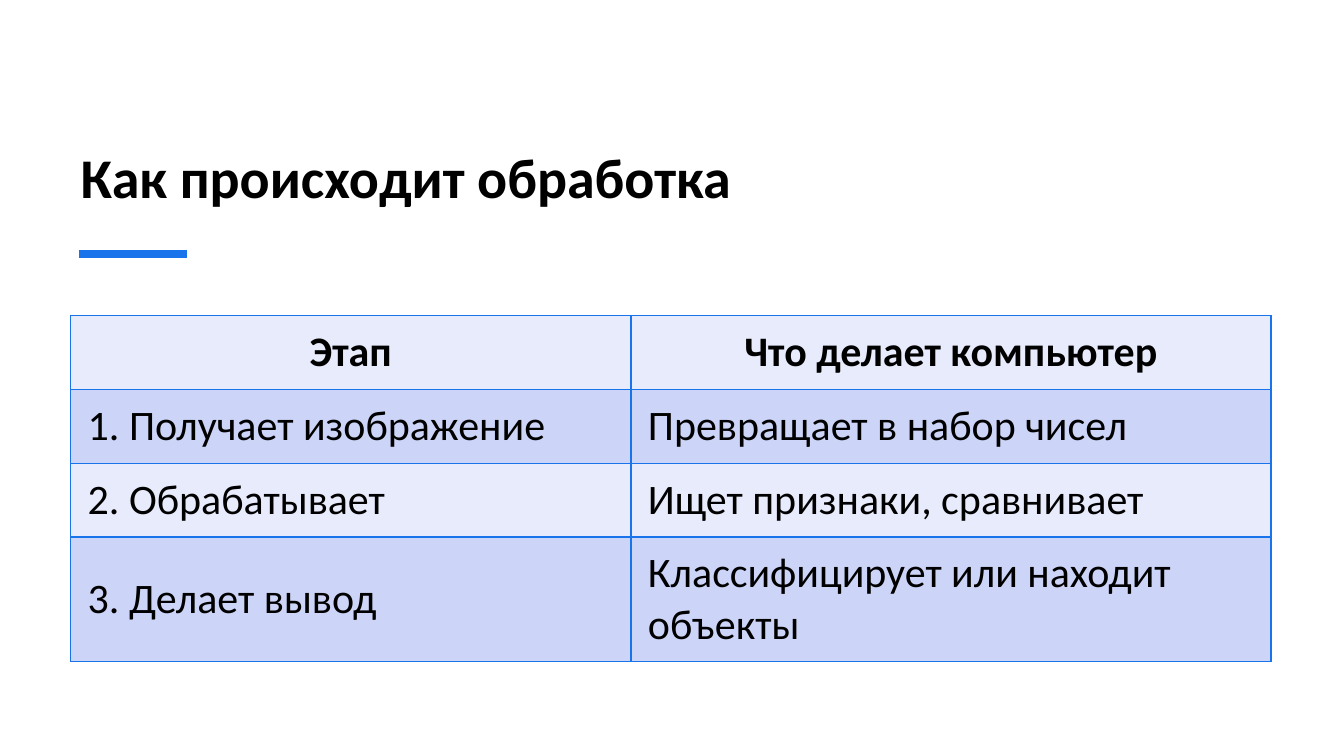
import pptx
import pptx.dml.color
import pptx.enum.shapes
import pptx.enum.text
import pptx.oxml
import pptx.oxml.ns
import pptx.util
from pptx.util import Cm

TITLE = "Как происходит обработка"
ROWS = [
    ("Этап", "Что делает компьютер"),
    ("1. Получает изображение", "Превращает в набор чисел"),
    ("2. Обрабатывает", "Ищет признаки, сравнивает"),
    ("3. Делает вывод", "Классифицирует или находит объекты"),
]
COLORS = {"text": "000000", "accent": "1973EB", "light": "E8EBFB", "dark": "CCD5F7"}
FONT = "Calibri"
LEFT, WIDTH = 1.78, 30.25
COLUMN_WIDTHS = (14.12, 16.13)
ROW_HEIGHTS = (1.86, 1.86, 1.86, 3.13)
TABLE_TOP = 7.95
ACCENT_LEFT, ACCENT_RIGHT, ACCENT_TOP = 1.98, 4.7, 6.4


def color(name):
    """Return the named palette colour."""
    return pptx.dml.color.RGBColor.from_string(COLORS[name])


def write(paragraph, text, size, bold):
    """Add one styled run to a paragraph."""
    run = paragraph.add_run()
    run.text = text
    run.font.name = FONT
    run.font.size = pptx.util.Pt(size)
    run.font.bold = bold
    run.font.color.rgb = color("text")


def add_borders(cell):
    """Outline a cell on its four sides, ahead of its fill."""
    properties = cell._tc.get_or_add_tcPr()
    for position, side in enumerate(("lnL", "lnR", "lnT", "lnB")):
        border = pptx.oxml.parse_xml(
            f'<a:{side} {pptx.oxml.ns.nsdecls("a")} w="12700"><a:solidFill>'
            f'<a:srgbClr val="{COLORS["accent"]}"/></a:solidFill></a:{side}>'
        )
        properties.insert(position, border)


def add_title(slide):
    """Add the heading and the accent line under it."""
    box = slide.shapes.add_textbox(Cm(LEFT), Cm(1.57), Cm(WIDTH), Cm(3.86))
    frame = box.text_frame
    frame.word_wrap = True
    frame.vertical_anchor = pptx.enum.text.MSO_ANCHOR.BOTTOM
    frame.paragraphs[0].line_spacing = 0.9
    write(frame.paragraphs[0], TITLE, 40, True)

    accent = slide.shapes.add_connector(
        pptx.enum.shapes.MSO_CONNECTOR.STRAIGHT,
        Cm(ACCENT_LEFT), Cm(ACCENT_TOP), Cm(ACCENT_RIGHT), Cm(ACCENT_TOP),
    )
    accent.line.color.rgb = color("accent")
    accent.line.width = pptx.util.Pt(6)
    pptx.oxml.ns.qn("a:effectLst")
    accent._element.spPr.append(
        pptx.oxml.parse_xml(f'<a:effectLst {pptx.oxml.ns.nsdecls("a")}/>')
    )


def add_stages(slide):
    """Add the table of processing stages."""
    table = slide.shapes.add_table(
        len(ROWS), len(COLUMN_WIDTHS),
        Cm(LEFT), Cm(TABLE_TOP), Cm(WIDTH), Cm(sum(ROW_HEIGHTS)),
    ).table
    for column, width in zip(table.columns, COLUMN_WIDTHS):
        column.width = Cm(width)
    for index, (row, height, texts) in enumerate(zip(table.rows, ROW_HEIGHTS, ROWS)):
        row.height = Cm(height)
        header = index == 0
        for cell, text in zip(row.cells, texts):
            cell.fill.solid()
            cell.fill.fore_color.rgb = color("dark" if index % 2 else "light")
            cell.margin_left = cell.margin_right = Cm(0.43)
            cell.margin_top = cell.margin_bottom = Cm(0.2)
            cell.vertical_anchor = pptx.enum.text.MSO_ANCHOR.MIDDLE
            add_borders(cell)
            paragraph = cell.text_frame.paragraphs[0]
            alignment = pptx.enum.text.PP_ALIGN
            paragraph.alignment = alignment.CENTER if header else alignment.LEFT
            write(paragraph, text, 30, header)


def main():
    """Build and save the slide."""
    presentation = pptx.Presentation()
    presentation.slide_width = Cm(33.87)
    presentation.slide_height = Cm(19.05)
    slide = presentation.slides.add_slide(presentation.slide_layouts[6])
    add_title(slide)
    add_stages(slide)
    presentation.save("out.pptx")


if __name__ == "__main__":
    main()
